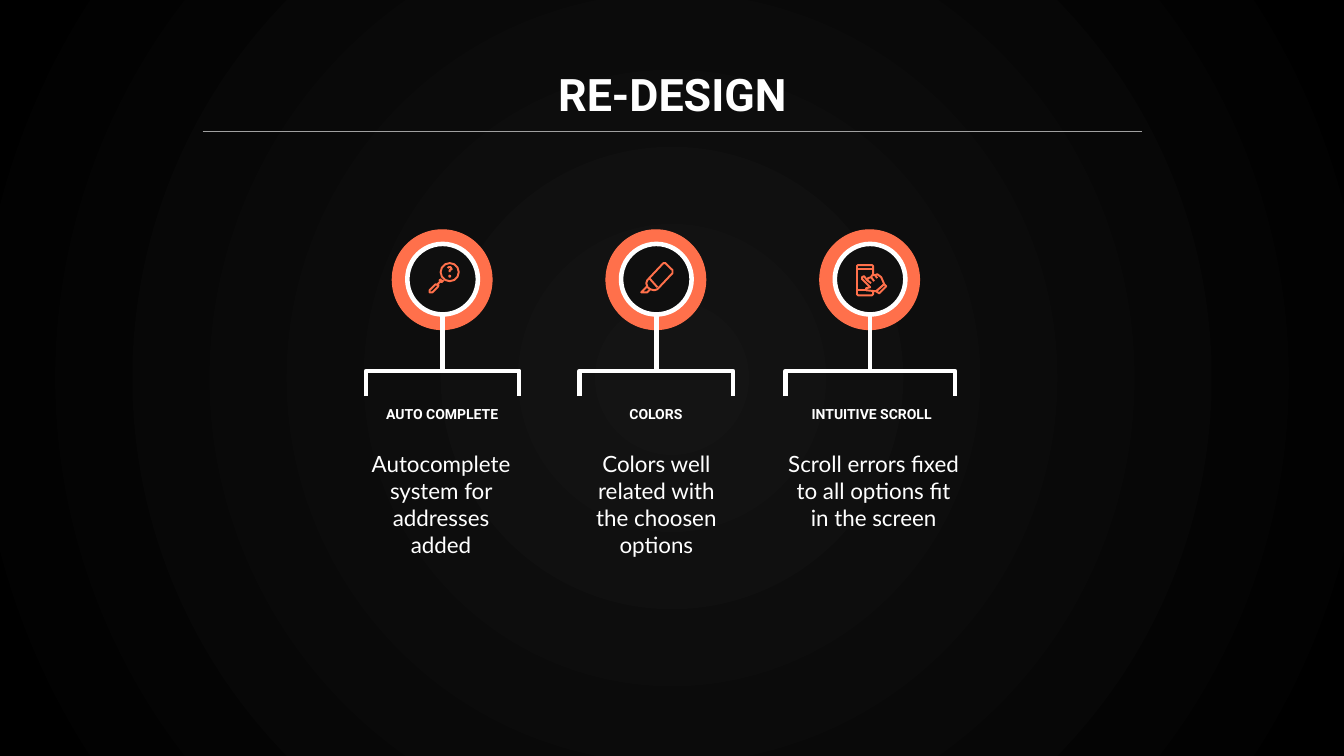
from lxml.etree import SubElement
from pptx import Presentation
from pptx.dml.color import RGBColor
from pptx.enum.shapes import MSO_CONNECTOR, MSO_SHAPE
from pptx.enum.text import MSO_ANCHOR, PP_ALIGN
from pptx.oxml.ns import qn
from pptx.util import Inches, Pt

COLORS = {
    "glow": "141414",
    "edge": "000000",
    "disc": "0F0F0F",
    "accent": "FF704B",
    "white": "FFFFFF",
    "rule": "A0A0A0",
}
HEADING = {"name": "Roboto", "size": Pt(32), "bold": True}
LABEL = {"name": "Roboto", "size": Pt(10), "bold": True}
BODY = {"name": "Lato", "size": Pt(16), "bold": False}
FRAME = {"word_wrap": True} | {
    f"margin_{side}": Inches(0.1) for side in ("left", "right", "top", "bottom")
}


def paint(shape, line, width, fill=None):
    if hasattr(shape, "fill"):
        if fill:
            shape.fill.solid()
            shape.fill.fore_color.rgb = RGBColor.from_string(COLORS[fill])
        else:
            shape.fill.background()
    shape.line.color.rgb = RGBColor.from_string(COLORS[line])
    shape.line.width = Pt(width)
    properties = shape._element.spPr
    outline = properties.find(qn("a:ln"))
    outline.set("cap", "round")
    SubElement(outline, qn("a:round"))
    SubElement(properties, qn("a:effectLst"))


def write(box, text, font_format, anchor):
    frame = box.text_frame
    for name, value in (FRAME | {"vertical_anchor": anchor}).items():
        setattr(frame, name, value)
    paragraph = frame.paragraphs[0]
    paragraph.alignment = PP_ALIGN.CENTER
    run = paragraph.add_run()
    run.text = text
    for name, value in font_format.items():
        setattr(run.font, name, value)
    run.font.color.rgb = RGBColor.from_string(COLORS["white"])


magnifier = {
    "circles": [(0.07, -0.07, 0.18), (0.07, -0.03, 0.01)],
    "strokes": [
        ([(0.05, -0.11), (0.06, -0.12), (0.08, -0.12), (0.09, -0.1),
          (0.07, -0.09), (0.07, -0.07)], False),
        ([(-0.01, 0), (-0.03, 0.01), (-0.01, 0.03), (0.01, 0.01)], False),
        ([(-0.05, 0.05), (-0.02, 0.02)], False),
        ([(-0.07, 0.05), (-0.04, 0.06), (-0.05, 0.08), (-0.1, 0.13),
          (-0.13, 0.13), (-0.13, 0.11)], True),
    ],
}
marker = {
    "circles": [],
    "strokes": [
        ([(0.07, -0.16), (0.09, -0.16), (0.16, -0.09), (0.16, -0.06), (0.01, 0.1),
          (-0.02, 0.11), (-0.06, 0.1), (-0.09, 0.13), (-0.15, 0.13),
          (-0.09, 0.07), (-0.1, 0.04), (-0.09, 0.01)], True),
        ([(-0.07, -0.01), (0.01, 0.08)], False),
        ([(-0.1, 0.07), (-0.06, 0.1)], False),
    ],
}
touch_phone = {
    "circles": [],
    "strokes": [
        ([(-0.12, -0.14), (0.02, -0.14), (0.03, -0.13), (0.03, 0.15), (0.02, 0.16),
          (-0.12, 0.16), (-0.13, 0.15), (-0.13, -0.13)], True),
        ([(-0.13, -0.1), (0.03, -0.1)], False),
        ([(-0.13, 0.11), (0.03, 0.11)], False),
        ([(0.14, 0.05), (0.11, -0.02), (0.07, -0.05), (0.05, -0.04), (0.02, -0.04),
          (0.01, -0.02), (-0.02, -0.01), (-0.03, 0.01), (-0.06, -0.03),
          (-0.08, -0.02), (-0.08, 0), (0, 0.08), (-0.04, 0.09), (-0.04, 0.11),
          (0.06, 0.12)], True),
        ([(-0.03, 0.01), (0.01, 0.04)], False),
        ([(0.01, -0.02), (0.04, 0.02)], False),
        ([(0.05, -0.04), (0.07, -0.01)], False),
        ([(0.06, 0.12), (0.09, 0.14), (0.16, 0.07), (0.14, 0.05)], True),
    ],
}

improvements = [
    {"center": 4.39, "reach": 0.76, "label": "AUTO COMPLETE", "label_left": 3.25,
     "body": "Autocomplete system for addresses added",
     "body_left": 3.5, "body_width": 1.75, "icon": magnifier},
    {"center": 6.51, "reach": 0.76, "label": "COLORS", "label_left": 5.37,
     "body": "Colors well related with the choosen options",
     "body_left": 5.75, "body_width": 1.52, "icon": marker},
    {"center": 8.63, "reach": 0.84, "label": "INTUITIVE SCROLL", "label_left": 7.51,
     "body": "Scroll errors fixed to all options fit in the screen",
     "body_left": 7.71, "body_width": 1.91, "icon": touch_phone},
]
MIDDLE, BAR, FOOT = 2.77, 3.68, 3.93

presentation = Presentation()
presentation.slide_width = Inches(13.33)
presentation.slide_height = Inches(7.5)
slide = presentation.slides.add_slide(presentation.slide_layouts[5])
shapes = slide.shapes

backdrop = slide.background.fill
backdrop.gradient()
for stop, color in zip(backdrop.gradient_stops, ("glow", "edge")):
    stop.color.rgb = RGBColor.from_string(COLORS[color])
gradient = slide._element.cSld.find(".//" + qn("a:gradFill"))
gradient.remove(gradient.find(qn("a:lin")))
radial = SubElement(gradient, qn("a:path"), {"path": "circle"})
SubElement(radial, qn("a:fillToRect"), {side: "50000" for side in "ltrb"})

heading = shapes.title
for name, value in zip(("left", "top", "width", "height"), (1.74, 0.56, 9.86, 0.74)):
    setattr(heading, name, Inches(value))
write(heading, "RE-DESIGN", HEADING, MSO_ANCHOR.BOTTOM)

rule = shapes.add_connector(
    MSO_CONNECTOR.STRAIGHT, Inches(2.01), Inches(1.3), Inches(11.33), Inches(1.3))
paint(rule, "rule", 0.75)

for item in improvements:
    center, reach, icon = item["center"], item["reach"], item["icon"]

    halo = shapes.add_shape(
        MSO_SHAPE.OVAL, Inches(center - 0.5), Inches(MIDDLE - 0.49), Inches(0.99), Inches(0.99))
    paint(halo, "accent", 0.75, "accent")

    stem = shapes.add_connector(
        MSO_CONNECTOR.STRAIGHT, Inches(center), Inches(MIDDLE), Inches(center), Inches(BAR))
    paint(stem, "white", 3.25)

    ring = shapes.add_shape(
        MSO_SHAPE.OVAL, Inches(center - 0.35), Inches(MIDDLE - 0.35), Inches(0.7), Inches(0.7))
    paint(ring, "white", 3.25, "disc")

    corners = [(center - reach, FOOT), (center - reach, BAR),
               (center + reach, BAR), (center + reach, FOOT)]
    strokes = [(corners, False, "white", 3.25)]
    for points, closed in icon["strokes"]:
        placed = [(center + dx, MIDDLE + dy) for dx, dy in points]
        strokes.append((placed, closed, "accent", 1.4))
    for points, closed, color, width in strokes:
        start, *others = [(Inches(x), Inches(y)) for x, y in points]
        builder = shapes.build_freeform(*start)
        builder.add_line_segments(others, close=closed)
        paint(builder.convert_to_shape(), color, width, "disc" if closed else None)

    for dx, dy, size in icon["circles"]:
        circle = shapes.add_shape(
            MSO_SHAPE.OVAL, Inches(center + dx - size / 2), Inches(MIDDLE + dy - size / 2),
            Inches(size), Inches(size))
        paint(circle, "accent", 1.4)

    label = shapes.add_textbox(
        Inches(item["label_left"]), Inches(3.9), Inches(2.27), Inches(0.37))
    write(label, item["label"], LABEL, MSO_ANCHOR.BOTTOM)
    body = shapes.add_textbox(
        Inches(item["body_left"]), Inches(4.37), Inches(item["body_width"]), Inches(1.01))
    write(body, item["body"], BODY, MSO_ANCHOR.TOP)

presentation.save("out.pptx")
